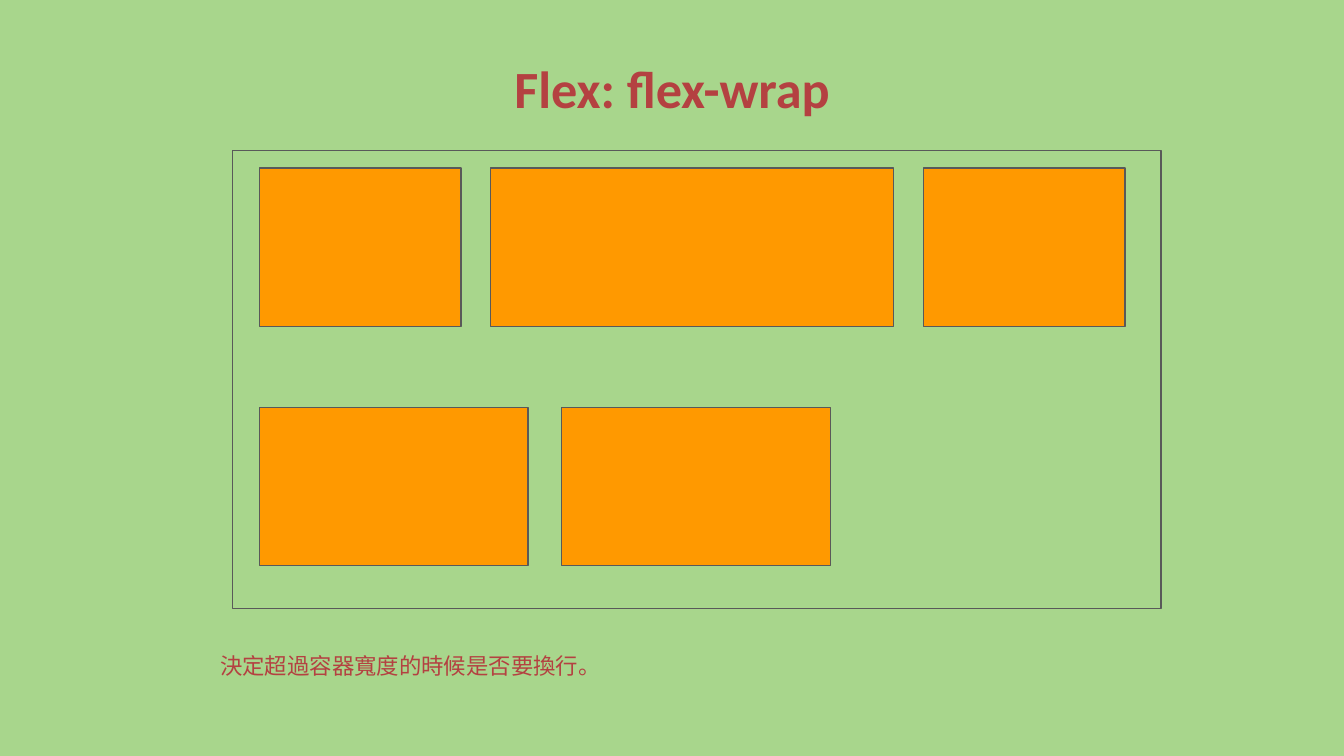
from pptx import Presentation
from pptx.dml.color import RGBColor as Rgb
from pptx.enum.shapes import MSO_SHAPE as Kind
from pptx.enum.text import MSO_ANCHOR as Anchor, MSO_AUTO_SIZE as Fit, PP_ALIGN as Align
from pptx.util import Inches as In, Pt

HUES = {"green": "A8D68C", "orange": "FF9900", "red": "B44141", "gray": "595959"}


def box(x, y, w, h, hue):
    rect = slide.shapes.add_shape(Kind.RECTANGLE, In(x), In(y), In(w), In(h))
    rect.shadow.inherit = False
    rect.fill.solid()
    rect.fill.fore_color.rgb = Rgb.from_string(HUES[hue])
    rect.line.color.rgb = Rgb.from_string(HUES["gray"])
    rect.line.width = Pt(0.75)


def write(shape, text, place, para, font):
    shape.left, shape.top, shape.width, shape.height = map(In, place)
    body = shape.text_frame
    body.text = text
    line = body.paragraphs[0]
    run = line.runs[0]
    pad = {f"margin_{side}": In(0.1) for side in ("left", "top", "right", "bottom")}
    base = {"word_wrap": True, "auto_size": Fit.NONE, "vertical_anchor": Anchor.TOP}
    for part, look in ((body, pad | base), (line, para),
                       (run.font, {"name": "Calibri"} | font)):
        for key, value in look.items():
            setattr(part, key, value)
    run.font.color.rgb = Rgb.from_string(HUES["red"])


# Slide (16:9) and background
deck = Presentation()
deck.slide_width = In(10)
deck.slide_height = deck.slide_width * 9 // 16
slide = deck.slides.add_slide(deck.slide_layouts[5])
slide.background.fill.solid()
slide.background.fill.fore_color.rgb = Rgb.from_string(HUES["green"])

# Title
write(slide.shapes.title, "Flex: flex-wrap", (2.01, 0.41, 5.98, 0.63),
      {"alignment": Align.CENTER, "line_spacing": 0.8},
      {"size": Pt(28), "bold": True})

# Flex container
box(1.73, 1.12, 6.91, 3.41, "green")

# Wrapped rows of items: top, gap, widths
for top, gap, widths in ((1.25, 0.22, (1.5, 3, 1.5)), (3.03, 0.25, (2, 2))):
    left = 1.93
    for wide in widths:
        box(left, top, wide, 1.18, "orange")
        left += wide + gap

# Explanation
note = slide.shapes.add_textbox(0, 0, 0, 0)
write(note, "決定超過容器寬度的時候是否要換行。", (1.54, 4.72, 5.99, 0.24),
      {"alignment": Align.LEFT, "line_spacing": 1.15, "space_after": Pt(16)},
      {"size": Pt(12), "bold": False})

deck.save("out.pptx")
